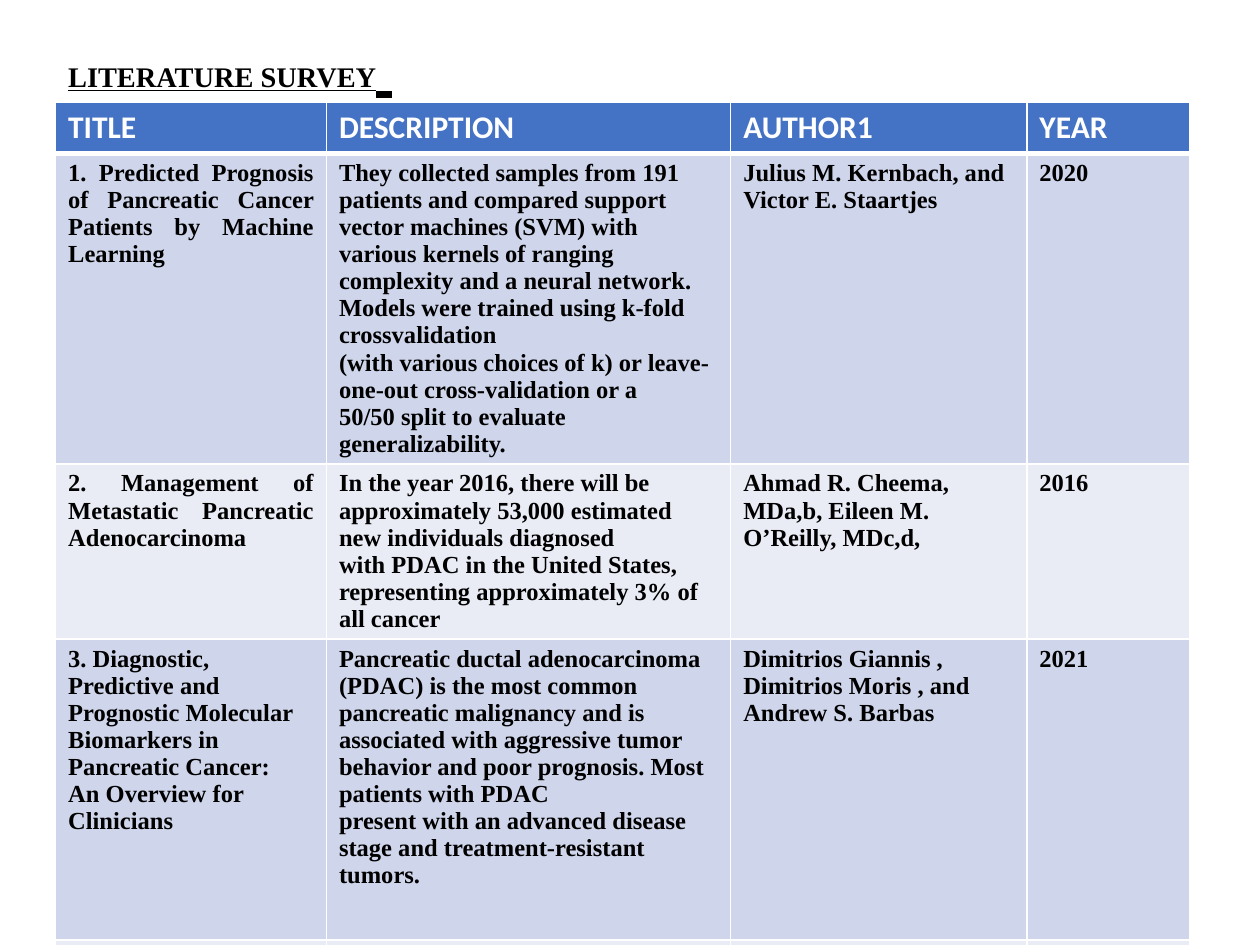
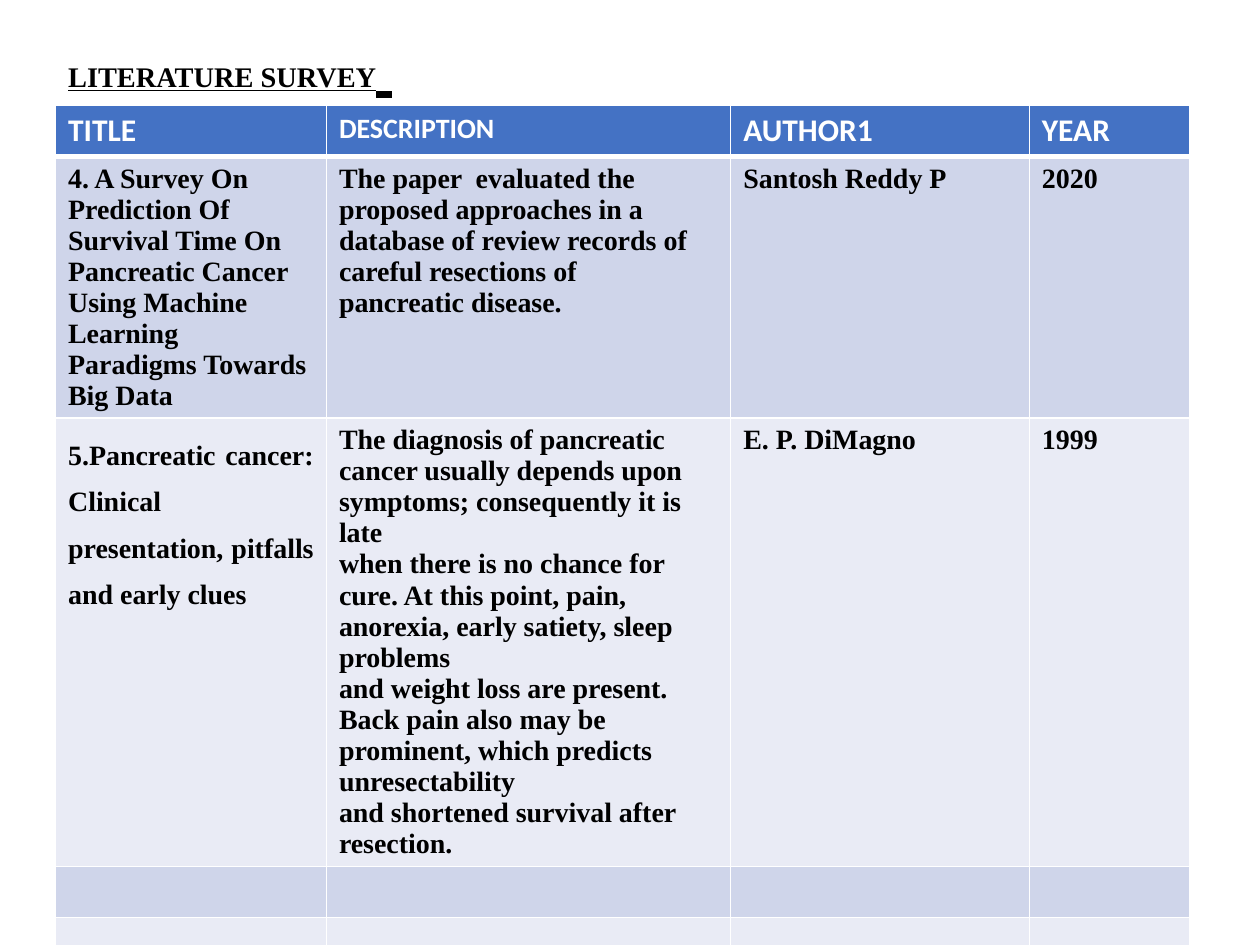
"""Build two literature survey slides, each with a title and a table of papers."""
from lxml import etree
from pptx import Presentation
from pptx import util as u
from pptx.dml.color import RGBColor
from pptx.enum import text
from pptx.oxml.ns import qn

SERIF, SANS = "Times New Roman", "Calibri"
WHITE, BLACK, HEADER_BLUE = "FFFFFF", "000000", "4472C4"
BANDS = ["CFD5EA", "E9EBF5"]
HEADINGS = ["TITLE", "DESCRIPTION", "AUTHOR1", "YEAR"]
LEFT = u.Cm(1.12)

SURVEYS = [
    {
        "top": 2.06,
        "columns": [5.46, 8.15, 5.97, 3.28],
        "rows": [0.89, 3.4, 2.46, 6.07, 0.89, 0.89],
        "heading_sizes": [18, 18, 18, 18],
        "body_size": 14,
        "justified": {1: 1.0, 2: 1.0},
        "papers": [
            [
                ["1. Predicted Prognosis of Pancreatic Cancer Patients by Machine Learning"],
                [
                    "They collected samples from 191",
                    "patients and compared support vector machines (SVM) with various kernels of ranging",
                    "complexity and a neural network. Models were trained using k-fold crossvalidation",
                    "(with various choices of k) or leave-one-out cross-validation or a",
                    "50/50 split to evaluate generalizability.",
                ],
                ["Julius M. Kernbach, and Victor E. Staartjes"],
                ["2020"],
            ],
            [
                ["2. Management of Metastatic Pancreatic Adenocarcinoma"],
                [
                    "In the year 2016, there will be approximately 53,000 estimated new individuals diagnosed",
                    "with PDAC in the United States, representing approximately 3% of all cancer",
                ],
                ["Ahmad R. Cheema, MDa,b, Eileen M. O’Reilly, MDc,d,"],
                ["2016"],
            ],
            [
                [
                    "3. Diagnostic, Predictive and Prognostic Molecular Biomarkers in Pancreatic Cancer:",
                    "An Overview for Clinicians",
                ],
                [
                    "Pancreatic ductal adenocarcinoma (PDAC) is the most common pancreatic malignancy and is",
                    "associated with aggressive tumor behavior and poor prognosis. Most patients with PDAC",
                    "present with an advanced disease stage and treatment-resistant tumors.",
                ],
                ["Dimitrios Giannis , Dimitrios Moris , and Andrew S. Barbas"],
                ["2021"],
            ],
        ],
    },
    {
        "top": 2.13,
        "columns": [5.46, 8.15, 6.02, 3.23],
        "rows": [0.89, 3.4, 2.46, 0.89, 0.89],
        "heading_sizes": [18, 16, 18, 18],
        "body_size": 16,
        "justified": {2: 1.5},
        "papers": [
            [
                [
                    "4. A Survey On Prediction Of Survival Time On Pancreatic Cancer Using Machine",
                    "Learning Paradigms Towards Big Data",
                ],
                [
                    "The paper  evaluated the proposed approaches in a database of review records of careful resections of",
                    "pancreatic disease.",
                ],
                ["Santosh Reddy P"],
                ["2020"],
            ],
            [
                ["5.Pancreatic cancer: Clinical presentation, pitfalls and early clues"],
                [
                    "The diagnosis of pancreatic cancer usually depends upon symptoms; consequently it is late",
                    "when there is no chance for cure. At this point, pain, anorexia, early satiety, sleep problems",
                    "and weight loss are present. Back pain also may be prominent, which predicts unresectability",
                    "and shortened survival after resection.",
                ],
                ["E. P. DiMagno"],
                ["1999"],
            ],
        ],
    },
]


def color(hex_string):
    return RGBColor.from_string(hex_string)


def add_run(paragraph, words, size, font_name, hex_string, bold=True, underline=None):
    run = paragraph.add_run()
    run.text = words
    run.font.size = u.Pt(size)
    run.font.name = font_name
    run.font.color.rgb = color(hex_string)
    run.font.bold = bold
    run.font.underline = underline


presentation = Presentation()
presentation.slide_width, presentation.slide_height = u.Cm(25.4), u.Cm(19.05)
title_only = presentation.slide_layouts[5]

for survey in SURVEYS:
    slide = presentation.slides.add_slide(title_only)

    title = slide.shapes.title
    title.left, title.top = LEFT, u.Cm(0.51)
    title.width, title.height = u.Cm(21.89), u.Cm(1.6)
    title.text_frame.auto_size = text.MSO_AUTO_SIZE.NONE
    title.text_frame.vertical_anchor = text.MSO_ANCHOR.MIDDLE
    paragraph = title.text_frame.paragraphs[0]
    paragraph.alignment = text.PP_ALIGN.LEFT
    paragraph.line_spacing = 0.9
    add_run(paragraph, "LITERATURE SURVEY", 16.2, SERIF, BLACK, underline=True)
    add_run(paragraph, " ", 39.6, SANS, BLACK, bold=False, underline=True)

    widths, heights = survey["columns"], survey["rows"]
    table = slide.shapes.add_table(
        len(heights), len(widths), LEFT, u.Cm(survey["top"]),
        u.Cm(sum(widths)), u.Cm(sum(heights))).table
    for column, width in zip(table.columns, widths):
        column.width = u.Cm(width)
    for row, height in zip(table.rows, heights):
        row.height = u.Cm(height)

    for row_index in range(len(heights)):
        for column_index in range(len(widths)):
            cell = table.cell(row_index, column_index)
            thick_side = {0: "lnB", 1: "lnT"}.get(row_index)
            properties = cell._tc.get_or_add_tcPr()
            for side in ("lnL", "lnR", "lnT", "lnB"):
                points = 3 if side == thick_side else 1
                line = etree.SubElement(properties, qn("a:" + side), w=str(u.Pt(points)))
                line_fill = etree.SubElement(line, qn("a:solidFill"))
                etree.SubElement(line_fill, qn("a:srgbClr"), val=WHITE)
            cell.fill.solid()
            cell.fill.fore_color.rgb = color(
                BANDS[(row_index - 1) % 2] if row_index else HEADER_BLUE)

            if row_index == 0:
                add_run(cell.text_frame.paragraphs[0], HEADINGS[column_index],
                        survey["heading_sizes"][column_index], SANS, WHITE)
            elif row_index <= len(survey["papers"]):
                lines = survey["papers"][row_index - 1][column_index]
                for line_index, words in enumerate(lines):
                    frame = cell.text_frame
                    paragraph = frame.add_paragraph() if line_index else frame.paragraphs[0]
                    if column_index == 0 and row_index in survey["justified"]:
                        paragraph.alignment = text.PP_ALIGN.JUSTIFY
                        paragraph.line_spacing = survey["justified"][row_index]
                    add_run(paragraph, words, survey["body_size"], SERIF, BLACK)

presentation.save("out.pptx")
